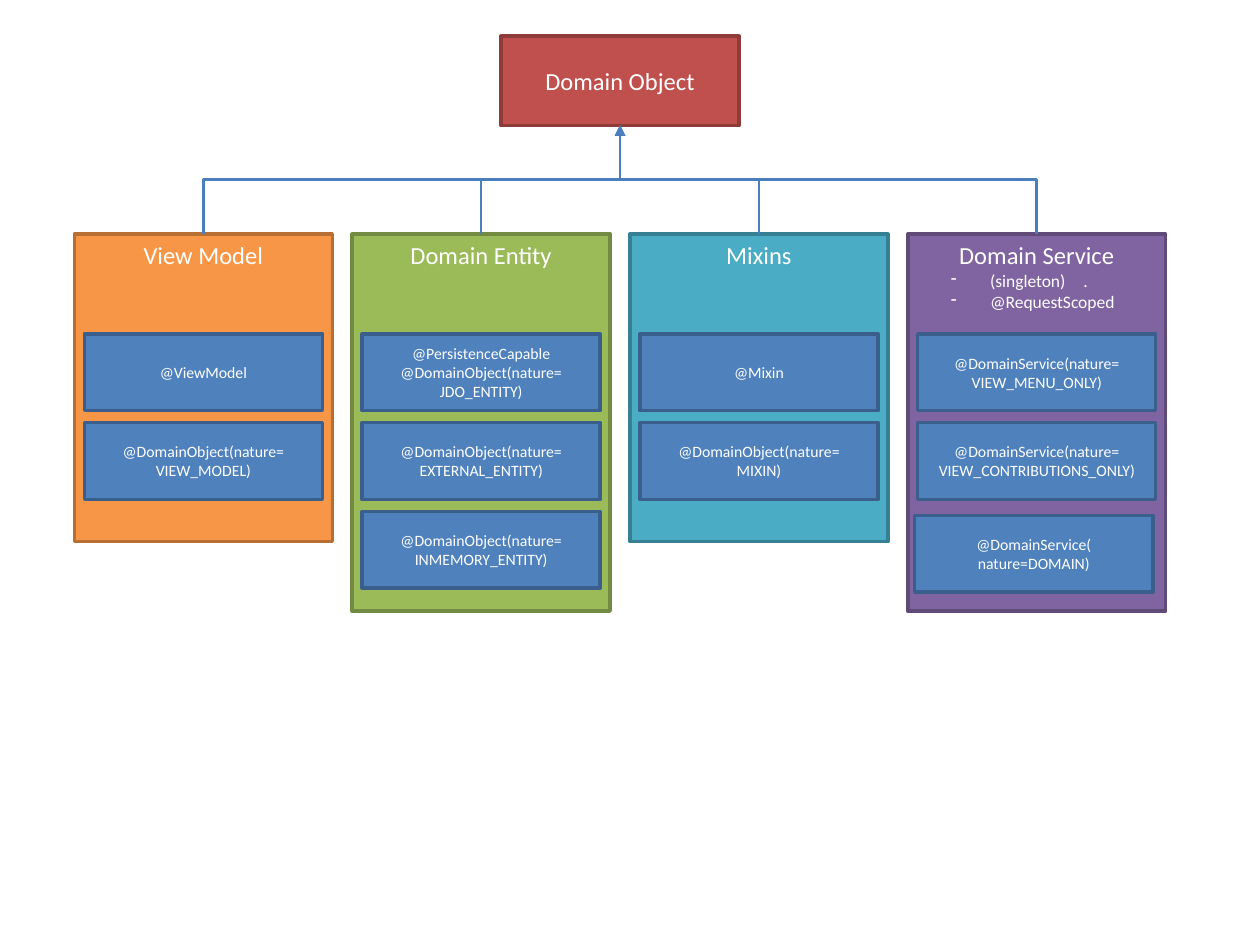
from dataclasses import dataclass, field

from lxml import etree
from pptx import Presentation
from pptx.dml.color import RGBColor
from pptx.enum.shapes import MSO_CONNECTOR, MSO_SHAPE
from pptx.enum.text import MSO_ANCHOR, PP_ALIGN
from pptx.oxml.ns import qn
from pptx.util import Cm, Pt

RECTANGLE, ELBOW = MSO_SHAPE.RECTANGLE, MSO_CONNECTOR.ELBOW
TOP, MIDDLE = MSO_ANCHOR.TOP, MSO_ANCHOR.MIDDLE
LEFT, CENTER = PP_ALIGN.LEFT, PP_ALIGN.CENTER

COLORS = {
    "text": "FFFFFF", "arrow": "4B7EBC",
    "root": "C0504D", "root_line": "8E3B39",
    "view": "F79646", "view_line": "B76F34",
    "entity": "9BBB59", "entity_line": "738A42",
    "mixin": "4BACC6", "mixin_line": "377F92",
    "service": "8064A2", "service_line": "5F4A78",
    "item": "4F81BD", "item_line": "3A5F8C",
}

# Layout in centimetres
ROOT_LEFT, ROOT_TOP, ROOT_WIDTH, ROOT_HEIGHT = 10.1, 0.73, 4.8, 1.8
COLUMN_LEFT, COLUMN_TOP, COLUMN_WIDTH, COLUMN_STEP = 1.5, 4.72, 5.2, 5.6
SHORT, TALL = 6.2, 7.6
ITEM_INSET, ITEM_TOP, ITEM_STEP = 0.2, 6.73, 1.79
ITEM_WIDTH, ITEM_HEIGHT = 4.8, 1.55
NUDGES = {("service", 2): (-0.06, 0.08)}

# Kind, heading, bulleted notes, height, items
COLUMNS = [
    ("view", "View Model", [], SHORT,
     ["@ViewModel", "@DomainObject(nature=\nVIEW_MODEL)"]),
    ("entity", "Domain Entity", [], TALL,
     ["@PersistenceCapable\n@DomainObject(nature=\nJDO_ENTITY)",
      "@DomainObject(nature=\nEXTERNAL_ENTITY)",
      "@DomainObject(nature=\nINMEMORY_ENTITY)"]),
    ("mixin", "Mixins", [], SHORT,
     ["@Mixin", "@DomainObject(nature=\nMIXIN)"]),
    ("service", "Domain Service", ["(singleton)\t.", "@RequestScoped"], TALL,
     ["@DomainService(nature=\nVIEW_MENU_ONLY)",
      "@DomainService(nature=\nVIEW_CONTRIBUTIONS_ONLY)",
      "@DomainService(\nnature=DOMAIN)"]),
]


def color(name):
    return RGBColor.from_string(COLORS[name])


def write(para, text, size=9, font="Calibri", align=CENTER):
    para.text = text
    para.alignment = align
    for span in para.runs:
        span.font.name = font
        span.font.size = Pt(size)
        span.font.color.rgb = color("text")


def add_dash(para, margin=1.41, hang=0.79, tab=3.83):
    """Give a paragraph a dash bullet, a hanging indent and one tab stop."""
    properties = para._p.get_or_add_pPr()
    properties.set("marL", str(Cm(margin)))
    properties.set("indent", str(-Cm(hang)))
    etree.SubElement(properties, qn("a:buChar")).set("char", "-")
    stops = etree.SubElement(properties, qn("a:tabLst"))
    stop = etree.SubElement(stops, qn("a:tab"))
    stop.set("pos", str(Cm(tab)))
    stop.set("algn", "l")


@dataclass
class Diagram:
    slide: object
    heading_size: float = 14
    note_size: float = 10
    item_size: float = 9
    border: float = 2
    arrow_width: float = 1.5
    frame: dict = field(default_factory=dict)

    def box(self, left, top, width, height, kind, text, size, anchor=MIDDLE):
        box = self.slide.shapes.add_shape(
            RECTANGLE, Cm(left), Cm(top), Cm(width), Cm(height))
        box.shadow.inherit = False
        box.fill.solid()
        box.fill.fore_color.rgb = color(kind)
        box.line.color.rgb = color(kind + "_line")
        box.line.width = Pt(self.border)
        box.text_frame.word_wrap = True
        box.text_frame.vertical_anchor = anchor
        write(box.text_frame.paragraphs[0], text, size=size)
        return box

    def column(self, left, kind, heading, notes, height, items):
        panel = self.box(left, COLUMN_TOP, COLUMN_WIDTH, height, kind,
                         heading, self.heading_size, anchor=TOP)
        for note in notes:
            para = panel.text_frame.add_paragraph()
            write(para, note, size=self.note_size, align=LEFT)
            add_dash(para)
        for row, text in enumerate(items):
            shift_x, shift_y = NUDGES.get((kind, row), (0, 0))
            self.box(left + ITEM_INSET + shift_x,
                     ITEM_TOP + row * ITEM_STEP + shift_y,
                     ITEM_WIDTH, ITEM_HEIGHT, "item", text, self.item_size)

    def arrow_up(self, x1, y1, x2, y2):
        """Draw an elbow that leaves and arrives vertically, by a quarter turn."""
        middle_x, middle_y = (x1 + x2) / 2, (y1 + y2) / 2
        half_run, half_rise = abs(x2 - x1) / 2, (y1 - y2) / 2
        side = 1 if x1 < x2 else -1
        arrow = self.slide.shapes.add_connector(
            ELBOW,
            Cm(middle_x + side * half_rise), Cm(middle_y + half_run),
            Cm(middle_x - side * half_rise), Cm(middle_y - half_run))
        arrow.line.color.rgb = color("arrow")
        arrow.line.width = Pt(self.arrow_width)
        properties = arrow._element.spPr
        turn = 90 if side == 1 else 270
        properties.find(qn("a:xfrm")).set("rot", str(turn * 60000))
        line = properties.find(qn("a:ln"))
        etree.SubElement(line, qn("a:tailEnd")).set("type", "triangle")
        etree.SubElement(properties, qn("a:effectLst"))


def main():
    deck = Presentation()
    deck.slide_width, deck.slide_height = Cm(25.4), Cm(19.05)
    diagram = Diagram(deck.slides.add_slide(deck.slide_layouts[6]))

    # Common parent
    diagram.box(ROOT_LEFT, ROOT_TOP, ROOT_WIDTH, ROOT_HEIGHT, "root",
                "Domain Object", diagram.heading_size)

    # Kinds of domain object
    lefts = [COLUMN_LEFT + i * COLUMN_STEP for i in range(len(COLUMNS))]
    for left, column in zip(lefts, COLUMNS):
        diagram.column(left, *column)

    # Inheritance arrows
    for left in lefts:
        diagram.arrow_up(left + COLUMN_WIDTH / 2, COLUMN_TOP,
                         ROOT_LEFT + ROOT_WIDTH / 2, ROOT_TOP + ROOT_HEIGHT)

    deck.save("out.pptx")


if __name__ == "__main__":
    main()
